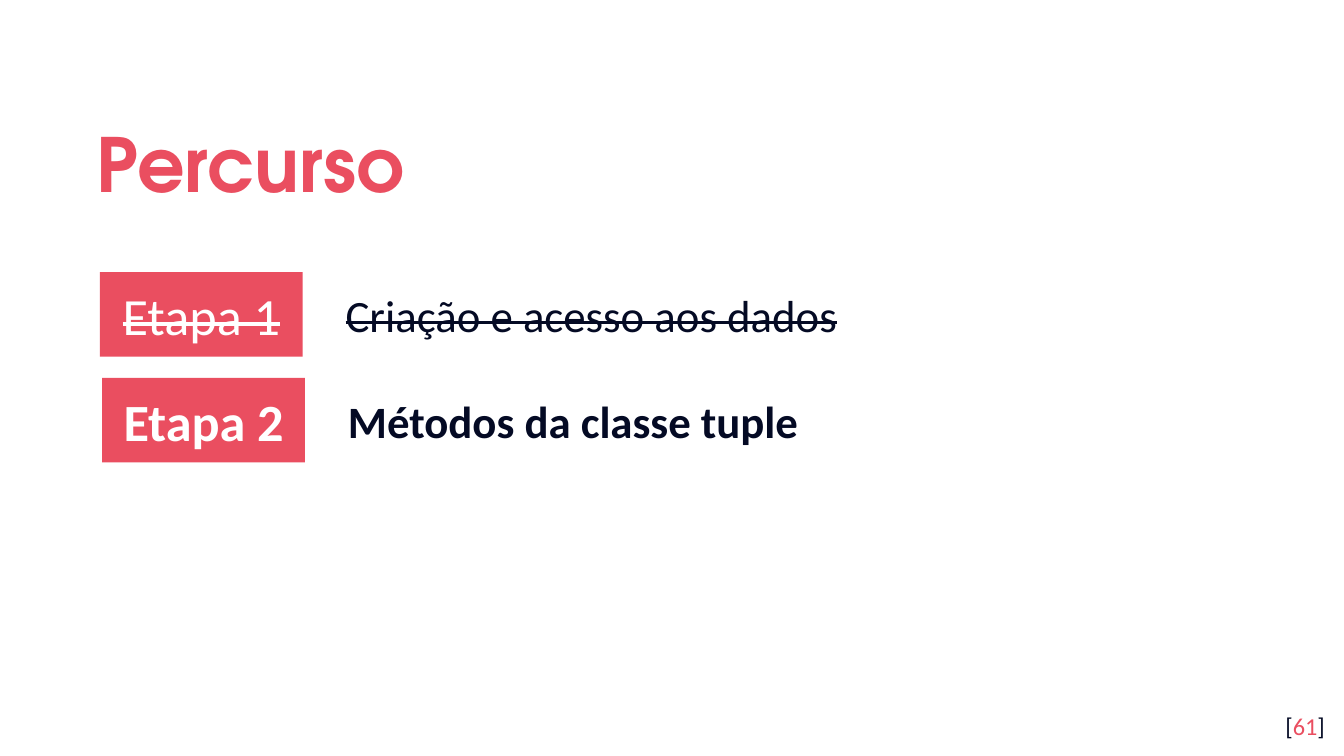
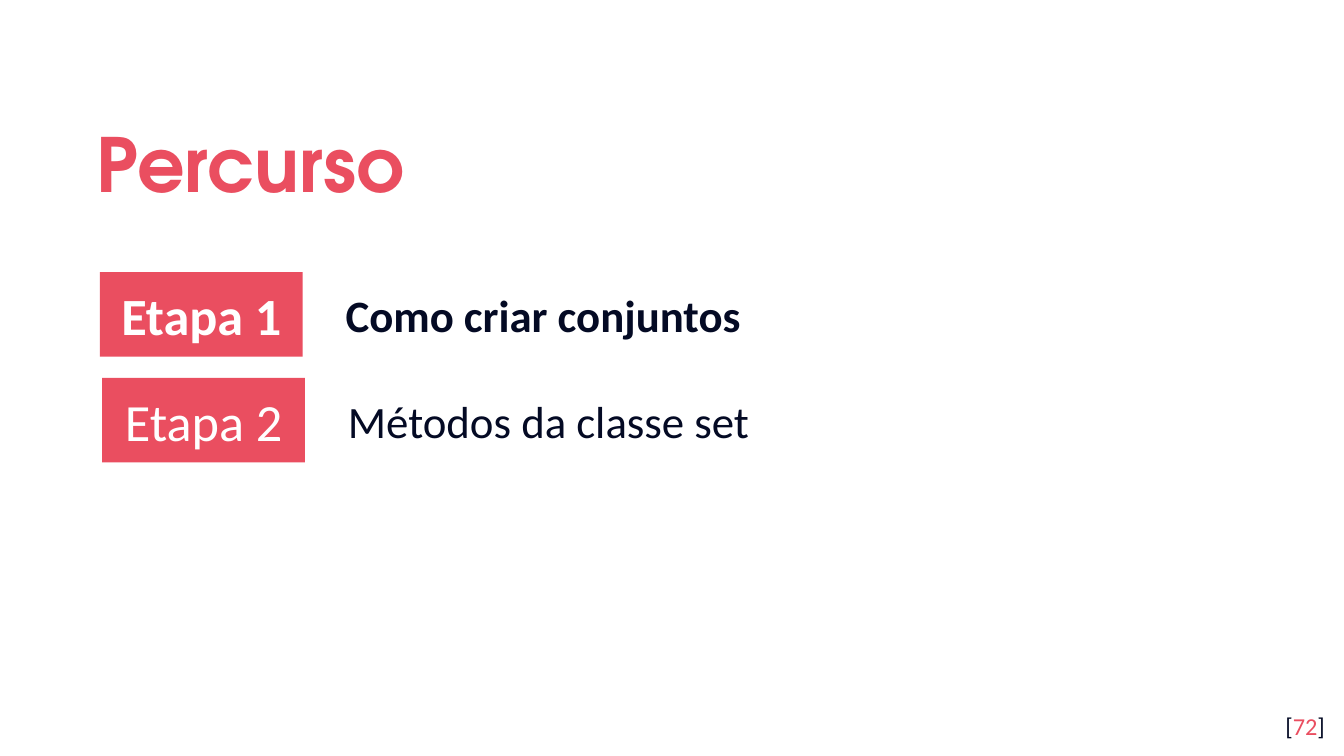
import dataclasses
import typing

import pptx
import pptx.dml.color
import pptx.enum.shapes
import pptx.enum.text
import pptx.util

WIDTH = pptx.util.Inches(10)
HEIGHT = WIDTH * 9 // 16
COLUMN = WIDTH / 100
ROW = HEIGHT / 56.25

CORAL = "EA4E60"
NAVY = "040A24"
WHITE = "FFFFFF"
TITLE_FONT = "TeX Gyre Adventor"
BODY_FONT = "Calibri"

ALIGN = pptx.enum.text.PP_ALIGN
ANCHOR = pptx.enum.text.MSO_ANCHOR


class Area(typing.NamedTuple):
    column: float
    row: float
    columns: float
    rows: float

    def shift(self, columns: float, rows: float) -> "Area":
        return self._replace(column=self.column + columns, row=self.row + rows)

    def lengths(self) -> tuple[int, int, int, int]:
        return (round(self.column * COLUMN), round(self.row * ROW),
                round(self.columns * COLUMN), round(self.rows * ROW))


TITLE_AREA = Area(6.2, 7, 81, 9.2)
NUMBER_AREA = Area(93.55, 51.95, 6, 4.3)
LABEL_AREA = Area(7.43, 20.25, 15.1, 6.3)
TOPIC_AREA = Area(24.73, 20.9, 67.5, 5)
STEP_SHIFT = (0.17, 7.87)


@dataclasses.dataclass(frozen=True)
class Step:
    topic: str
    bold: bool = False
    strike: bool = False


@dataclasses.dataclass(frozen=True)
class Route:
    number: int
    steps: tuple[Step, ...]


ROUTES = (
    Route(61, (Step("Criação e acesso aos dados", strike=True),
               Step("Métodos da classe tuple", bold=True))),
    Route(72, (Step("Como criar conjuntos", bold=True),
               Step("Métodos da classe set"))),
)


def color(value: str) -> pptx.dml.color.RGBColor:
    return pptx.dml.color.RGBColor.from_string(value)


def add_span(para, text: str, *, size: float, fill: str, font: str = BODY_FONT,
             bold: bool = False, strike: bool = False) -> None:
    span = para.add_run()
    span.text = text
    span.font.name = font
    span.font.size = pptx.util.Pt(size)
    span.font.bold = bold
    span.font.color.rgb = color(fill)
    if strike:
        span.font._element.set("strike", "sngStrike")


def prepare_text(box, *, align=ALIGN.LEFT, anchor=ANCHOR.TOP, vertical_inset: float = 1):
    frame = box.text_frame
    frame.word_wrap = True
    frame.auto_size = pptx.enum.text.MSO_AUTO_SIZE.NONE
    frame.vertical_anchor = anchor
    frame.margin_left = frame.margin_right = round(COLUMN)
    frame.margin_top = frame.margin_bottom = round(vertical_inset * ROW)
    para = frame.paragraphs[0]
    para.alignment = align
    return para


def add_title(page, text: str) -> None:
    box = page.shapes.title
    box.left, box.top, box.width, box.height = TITLE_AREA.lengths()
    para = prepare_text(box, anchor=ANCHOR.MIDDLE)
    para.line_spacing = 1.15
    add_span(para, text, size=40, fill=CORAL, font=TITLE_FONT, bold=True)


def add_number(page, number: int) -> None:
    box = page.shapes.add_textbox(*NUMBER_AREA.lengths())
    para = prepare_text(box, align=ALIGN.RIGHT)
    for text, fill in (("[", NAVY), (str(number), CORAL), ("]", NAVY)):
        add_span(para, text, size=13, fill=fill)


def add_step(page, index: int, step: Step) -> None:
    columns, rows = (index * distance for distance in STEP_SHIFT)
    style = {"bold": step.bold, "strike": step.strike}

    label = page.shapes.add_shape(pptx.enum.shapes.MSO_SHAPE.RECTANGLE,
                                  *LABEL_AREA.shift(columns, rows).lengths())
    label.shadow.inherit = False
    label.fill.solid()
    label.fill.fore_color.rgb = color(CORAL)
    label.line.fill.background()
    para = prepare_text(label, align=ALIGN.CENTER, anchor=ANCHOR.MIDDLE)
    add_span(para, f"Etapa {index + 1}", size=28, fill=WHITE, **style)

    topic = page.shapes.add_textbox(*TOPIC_AREA.shift(columns, rows).lengths())
    para = prepare_text(topic, vertical_inset=0.5)
    indent = round(5 * COLUMN)
    properties = para._p.get_or_add_pPr()
    properties.set("marL", str(indent))
    properties.set("indent", str(-indent))
    add_span(para, step.topic, size=24, fill=NAVY, **style)


def add_route(deck, route: Route) -> None:
    page = deck.slides.add_slide(deck.slide_layouts.get_by_name("Title Only"))
    page.background.fill.solid()
    page.background.fill.fore_color.rgb = color(WHITE)
    add_title(page, "Percurso")
    add_number(page, route.number)
    for index, step in enumerate(route.steps):
        add_step(page, index, step)


def main() -> None:
    deck = pptx.Presentation()
    deck.slide_width, deck.slide_height = WIDTH, HEIGHT
    for route in ROUTES:
        add_route(deck, route)
    deck.save("out.pptx")


if __name__ == "__main__":
    main()
